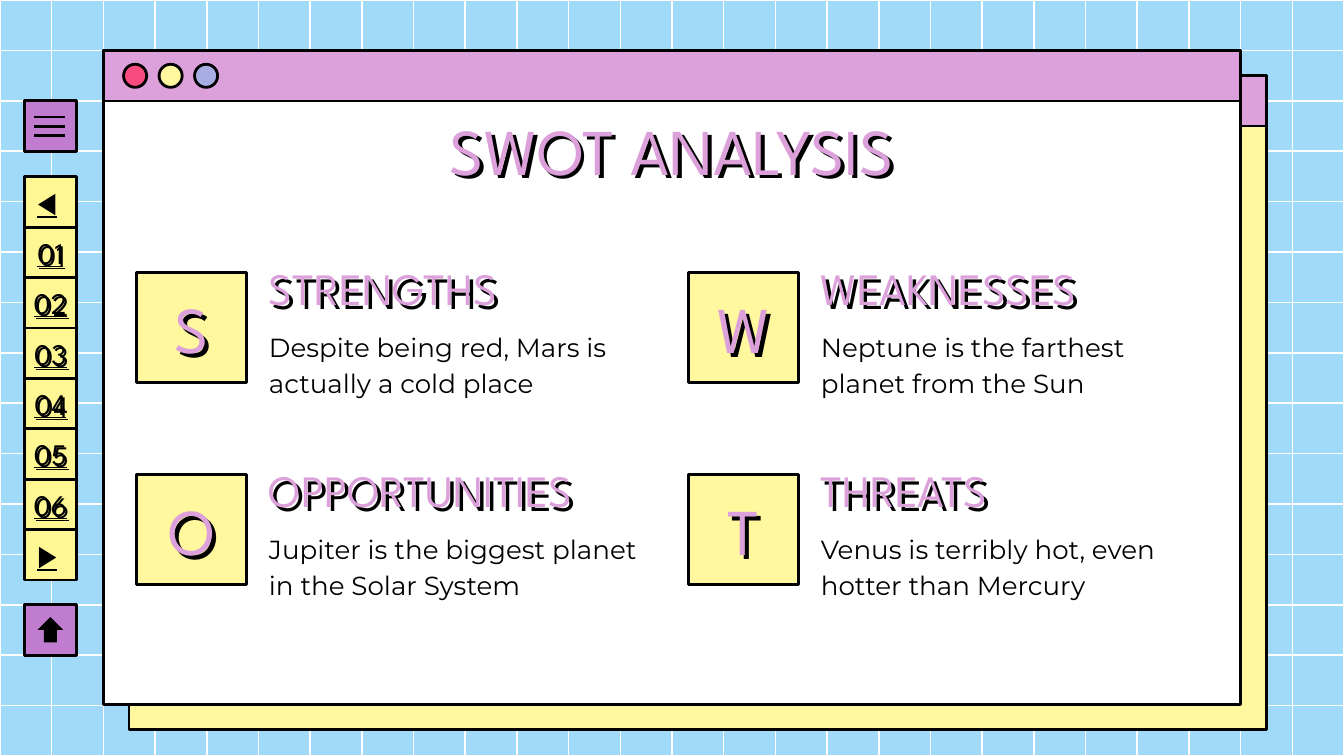
from dataclasses import dataclass

import lxml.etree
import pptx
import pptx.dml.color
import pptx.enum.shapes
import pptx.enum.text
import pptx.oxml.ns
import pptx.util

Pt = pptx.util.Pt
RGBColor = pptx.dml.color.RGBColor
Kind = pptx.enum.shapes.MSO_SHAPE
Align = pptx.enum.text.PP_ALIGN
Anchor = pptx.enum.text.MSO_ANCHOR
qn = pptx.oxml.ns.qn

SKY = RGBColor(0xA0, 0xDA, 0xF8)
WHITE = RGBColor(0xFF, 0xFF, 0xFF)
BLACK = RGBColor(0x00, 0x00, 0x00)
YELLOW = RGBColor(0xFF, 0xF8, 0x9E)
LEMON = RGBColor(0xFF, 0xF7, 0x94)
PINK = RGBColor(0xDC, 0xA1, 0xDB)
PURPLE = RGBColor(0xC0, 0x7D, 0xCF)
RED = RGBColor(0xFA, 0x4B, 0x7E)
BLUE = RGBColor(0xA8, 0xAD, 0xE4)

HEAD = "League Spartan"
BODY = "Montserrat"
WIDTH, HEIGHT = 720, 405


@dataclass
class Box:
    x: float
    y: float
    w: float
    h: float


@dataclass
class Style:
    size: float
    color: RGBColor = PINK
    font: str = HEAD
    align: Align = Align.LEFT
    anchor: Anchor = Anchor.MIDDLE
    inset: float = 0
    space: float = 1
    under: bool = False
    drop: float = 0  # distance of the hard text shadow


@dataclass
class Topic:
    head: str
    text: str


TITLE = Style(35, align=Align.CENTER, anchor=Anchor.BOTTOM, inset=7.2, drop=3)
LETTER = Style(35, align=Align.CENTER, inset=7.2, drop=3)
NAME = Style(24, drop=3)
NOTE = Style(14, BLACK, BODY, anchor=Anchor.TOP, space=1.15)
PAGE = Style(16, BLACK, align=Align.CENTER, under=True, drop=1.5)
ARROW = Style(16, BLACK, "Arial", inset=7.2, under=True)

TOPICS = [
    Topic("STRENGTHS", "Despite being red, Mars is actually a cold place"),
    Topic("WEAKNESSES", "Neptune is the farthest planet from the Sun"),
    Topic("OPPORTUNITIES", "Jupiter is the biggest planet in the Solar System"),
    Topic("THREATS", "Venus is terribly hot, even hotter than Mercury"),
]


def add_shape(slide, box: Box, fill=None, line=BLACK, width=1.5, kind=Kind.RECTANGLE):
    shape = slide.shapes.add_shape(kind, Pt(box.x), Pt(box.y), Pt(box.w), Pt(box.h))
    shape.shadow.inherit = False
    if fill is None:
        shape.fill.background()
    else:
        shape.fill.solid()
        shape.fill.fore_color.rgb = fill
    if line is None:
        shape.line.fill.background()
    else:
        shape.line.color.rgb = line
        shape.line.width = Pt(width)
    return shape


def add_line(slide, x1: float, y1: float, x2: float, y2: float, color, width: float) -> None:
    line = slide.shapes.add_connector(
        pptx.enum.shapes.MSO_CONNECTOR.STRAIGHT, Pt(x1), Pt(y1), Pt(x2), Pt(y2))
    line.line.color.rgb = color
    line.line.width = Pt(width)
    lxml.etree.SubElement(line._element.spPr, qn("a:effectLst"))


def add_drop(shape, dist: float) -> None:
    shape.shadow.inherit = False
    effects = shape._element.spPr.find(qn("a:effectLst"))
    drop = lxml.etree.SubElement(
        effects, qn("a:outerShdw"), dist=str(int(Pt(dist))), dir="2700000",
        algn="bl", rotWithShape="0")
    lxml.etree.SubElement(drop, qn("a:srgbClr"), val=str(BLACK))


def write(shape, text: str, style: Style) -> None:
    frame = shape.text_frame
    frame.word_wrap = True
    frame.auto_size = pptx.enum.text.MSO_AUTO_SIZE.NONE
    frame.vertical_anchor = style.anchor
    frame.margin_left = frame.margin_right = Pt(style.inset)
    frame.margin_top = frame.margin_bottom = Pt(7.2)
    para = frame.paragraphs[0]
    para.alignment = style.align
    para.line_spacing = style.space
    run = para.add_run()
    run.text = text
    run.font.name = style.font
    run.font.size = Pt(style.size)
    run.font.color.rgb = style.color
    if style.under:
        run.font.underline = True
    if style.drop:
        add_drop(shape, style.drop)


def add_text(slide, box: Box, text: str, style: Style) -> None:
    shape = slide.shapes.add_textbox(Pt(box.x), Pt(box.y), Pt(box.w), Pt(box.h))
    write(shape, text, style)


def draw_grid(slide) -> None:
    cols, rows = 26, 15
    add_shape(slide, Box(0, 0, WIDTH, HEIGHT), line=WHITE, width=0.81)
    for row in range(1, rows):
        y = HEIGHT * row / rows
        add_line(slide, 0, y, WIDTH, y, WHITE, 0.81)
    for col in range(1, cols):
        x = WIDTH * col / cols
        add_line(slide, x, 0, x, HEIGHT, WHITE, 0.81)


def draw_window(slide, x: float, y: float, fill: RGBColor) -> None:
    add_shape(slide, Box(x, y, 609.4, 350.6), fill)
    add_shape(slide, Box(x, y, 609.4, 27.2), PINK)


def draw_topic(slide, x: float, y: float, topic: Topic) -> None:
    add_shape(slide, Box(x, y, 59, 59), YELLOW)
    add_text(slide, Box(x, y + 9.4, 59, 40.2), topic.head[0], LETTER)
    add_text(slide, Box(x + 70.8, y - 5, 206.6, 26.6), topic.head, NAME)
    add_text(slide, Box(x + 70.8, y + 21.6, 206.6, 48.2), topic.text, NOTE)


def draw_menu(slide) -> None:
    x, w, h = 13, 28, 27
    # Menu button
    add_shape(slide, Box(x, 54, w, h), PURPLE)
    for i in range(3):
        y = 62.7 + 5 * i
        add_line(slide, 18.2, y, 35, y, BLACK, 1.5)
    # Page buttons between two arrows
    labels = ["◀", *(f"{n:02}" for n in range(1, 7)), "▶"]
    for i, label in enumerate(labels):
        y = 94.7 + h * i
        cell = add_shape(slide, Box(x, y, w, h), LEMON)
        if label.isdigit():
            add_text(slide, Box(x, y + 4.8, w, 17.4), label, PAGE)
        else:
            write(cell, label, ARROW)
    # Up button
    add_shape(slide, Box(x, 324, w, h), PURPLE)
    mark = add_shape(slide, Box(20.2, 330.6, 13.6, 13.6), BLACK, None, kind=Kind.UP_ARROW)
    mark.adjustments[0] = 0.52


def main() -> None:
    deck = pptx.Presentation()
    deck.slide_width, deck.slide_height = Pt(WIDTH), Pt(HEIGHT)
    slide = deck.slides.add_slide(deck.slide_layouts[5])

    # Backdrop
    slide.background.fill.solid()
    slide.background.fill.fore_color.rgb = SKY
    draw_grid(slide)

    # Two stacked windows and their round buttons
    draw_window(slide, 69.1, 40.3, YELLOW)
    draw_window(slide, 55.4, 26.9, WHITE)
    for i, color in enumerate([RED, YELLOW, BLUE]):
        add_shape(slide, Box(66.2 + 19 * i, 34.4, 12.4, 12.4), color, kind=Kind.OVAL)

    # Topics, two by two
    for i, topic in enumerate(TOPICS):
        row, col = divmod(i, 2)
        draw_topic(slide, 73.3 + 295.7 * col, 146 + 108.2 * row, topic)

    draw_menu(slide)

    # Title, in front of the window
    title = slide.shapes.title
    title.left, title.top, title.width, title.height = Pt(56.7), Pt(54), Pt(606.6), Pt(54)
    write(title, "SWOT ANALYSIS", TITLE)
    slide.shapes._spTree.append(title._element)

    deck.save("out.pptx")


if __name__ == "__main__":
    main()
